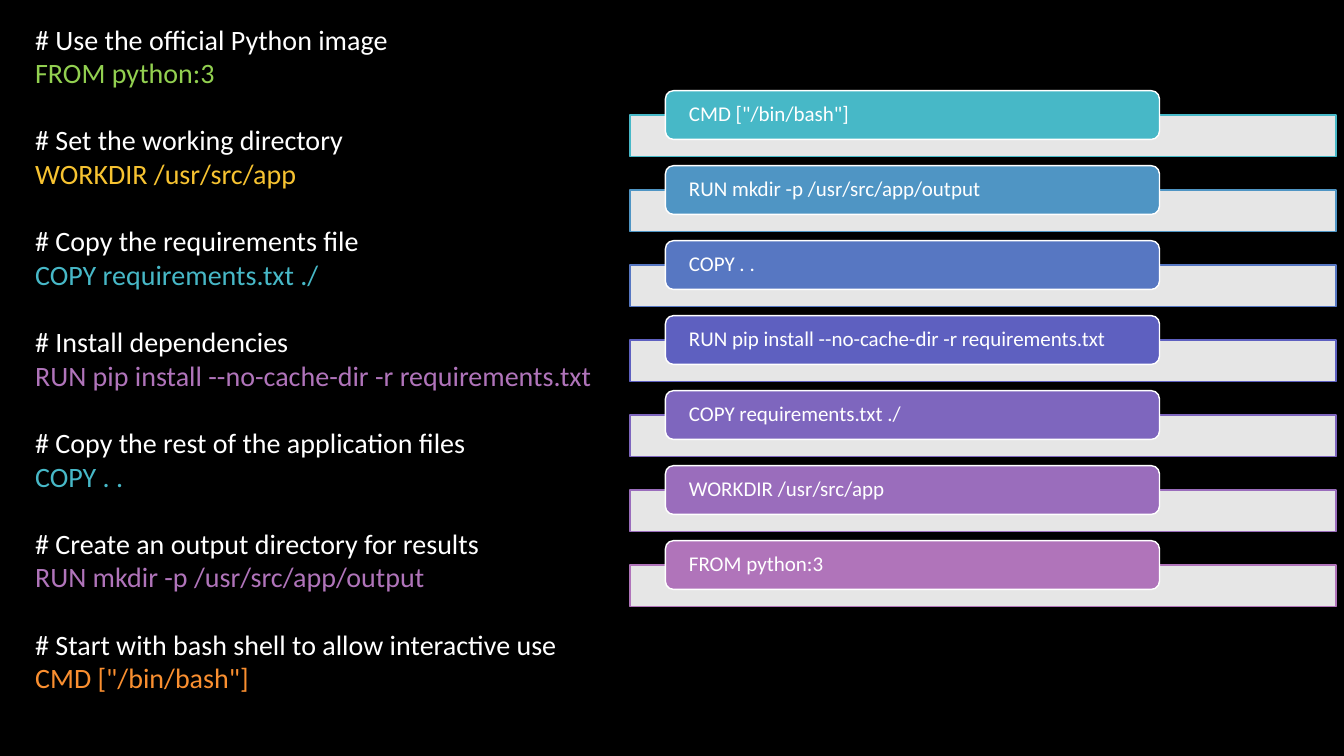
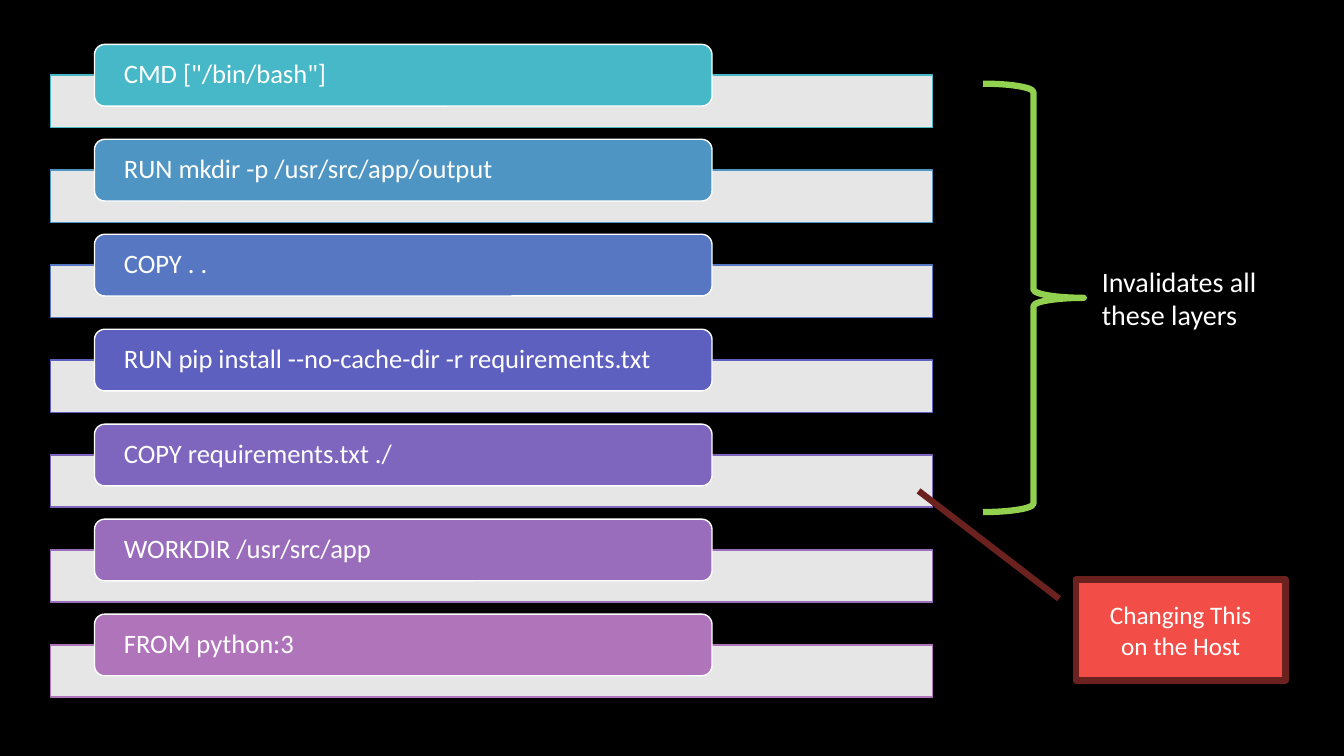
from lxml.etree import SubElement
from pptx import Presentation
from pptx.dml.color import RGBColor
from pptx.enum.shapes import MSO_SHAPE as Preset
from pptx.enum.text import MSO_ANCHOR as Anchor, PP_ALIGN as Align
from pptx.oxml.ns import qn
from pptx.util import Inches, Pt

FONT = "Calibri"
COLORS = {
    "black": "000000", "white": "FFFFFF", "green": "92D050",
    "yellow": "F7C331", "orange": "FA8F30", "teal": "47B8C7",
    "sky": "4F95C4", "blue": "5777C2", "indigo": "5E60C0",
    "violet": "7E66BE", "purple": "9A6DBC", "orchid": "B074BA",
    "red": "F34D47", "maroon": "6B221F",
}

DOCKERFILE = [
    ("# Use the official Python image", "FROM python:3", "green"),
    ("# Set the working directory", "WORKDIR /usr/src/app", "yellow"),
    ("# Copy the requirements file", "COPY requirements.txt ./", "teal"),
    ("# Install dependencies",
     "RUN pip install --no-cache-dir -r requirements.txt", "orchid"),
    ("# Copy the rest of the application files", "COPY . .", "teal"),
    ("# Create an output directory for results",
     "RUN mkdir -p /usr/src/app/output", "orchid"),
    ("# Start with bash shell to allow interactive use",
     'CMD ["/bin/bash"]', "orange"),
]
LAYER_COLORS = ["teal", "sky", "blue", "indigo", "violet", "purple", "orchid"]
LAYERS = [(step[1], color)
          for step, color in zip(reversed(DOCKERFILE), LAYER_COLORS)]

CHANGE = ["Changing This", "on the Host"]
CHANGE_POINTER = [0.19, -0.08, -0.88, -0.75]
EFFECT = ["Invalidates all", "these layers"]


def rgb(name):
    return RGBColor.from_string(COLORS[name])


def add_preset(shapes, preset, box, fill, line, weight):
    shape = shapes.add_shape(preset, *map(Inches, box))
    shape.shadow.inherit = False
    if fill:
        shape.fill.solid()
        shape.fill.fore_color.rgb = rgb(fill)
    else:
        shape.fill.background()
    shape.line.color.rgb = rgb(line)
    shape.line.width = Pt(weight)
    return shape


def write(frame, lines, size, align=Align.LEFT):
    frame.word_wrap = True
    for index, (text, color) in enumerate(lines):
        paragraph = frame.add_paragraph() if index else frame.paragraphs[0]
        paragraph.text = text
        paragraph.alignment = align
        paragraph.font.name = FONT
        paragraph.font.size = Pt(size)
        paragraph.font.color.rgb = rgb(color)


def add_text(slide, box, lines, size):
    frame = slide.shapes.add_textbox(*map(Inches, box)).text_frame
    write(frame, lines, size)
    return frame


def add_layers(slide, left, top, width, pitch, size):
    stack = slide.shapes.add_group_shape().shapes
    pill_height = 0.65 * pitch
    for row, (command, color) in enumerate(LAYERS):
        y = top + row * pitch
        bar = add_preset(stack, Preset.RECTANGLE,
                         (left, y + pill_height / 2, width, 0.55 * pitch),
                         "white", color, 1)
        tint = bar.fill._xPr.find(f"{qn('a:solidFill')}/{qn('a:srgbClr')}")
        SubElement(tint, qn("a:alpha"), val="90000")
        pill = add_preset(stack, Preset.ROUNDED_RECTANGLE,
                          (left + 0.05 * width, y, 0.7 * width, pill_height),
                          color, "white", 1)
        frame = pill.text_frame
        frame.margin_left = frame.margin_right = Inches(0.03 * width)
        frame.margin_top = frame.margin_bottom = 0
        frame.vertical_anchor = Anchor.MIDDLE
        write(frame, [(command, "white")], size)
        frame.paragraphs[0].line_spacing = 0.9


def build_dockerfile(slide):
    add_layers(slide, left=6.25, top=0.9, width=7, pitch=0.744, size=15)
    lines = [line for comment, command, color in DOCKERFILE
             for line in ((comment, "white"), (command, color))]
    frame = add_text(slide, (0.25, 0.17, 8.25, 6.83), lines, 20)
    for comment in frame.paragraphs[2::2]:
        comment.space_before = Pt(24)


def build_invalidation(slide):
    add_layers(slide, left=0.5, top=0.44, width=8.75, pitch=0.942, size=19)
    callout = add_preset(slide.shapes, Preset.LINE_CALLOUT_1,
                         (10.67, 5.75, 2.08, 1), "red", "maroon", 4.5)
    for index, value in enumerate(CHANGE_POINTER):
        callout.adjustments[index] = value
    callout.text_frame.vertical_anchor = Anchor.MIDDLE
    write(callout.text_frame, [(text, "white") for text in CHANGE], 18,
          Align.CENTER)
    add_preset(slide.shapes, Preset.RIGHT_BRACE, (9.75, 0.83, 1, 4.25),
               None, "green", 4.5)
    add_text(slide, (10.83, 2.57, 1.88, 0.77),
             [(text, "white") for text in EFFECT], 20)


def main():
    deck = Presentation()
    deck.slide_width, deck.slide_height = Inches(13.33), Inches(7.5)
    backdrop = deck.slide_master.background.fill
    backdrop.solid()
    backdrop.fore_color.rgb = rgb("black")
    blank = deck.slide_layouts.get_by_name("Blank")
    for build in (build_dockerfile, build_invalidation):
        build(deck.slides.add_slide(blank))
    deck.save("out.pptx")


if __name__ == "__main__":
    main()
